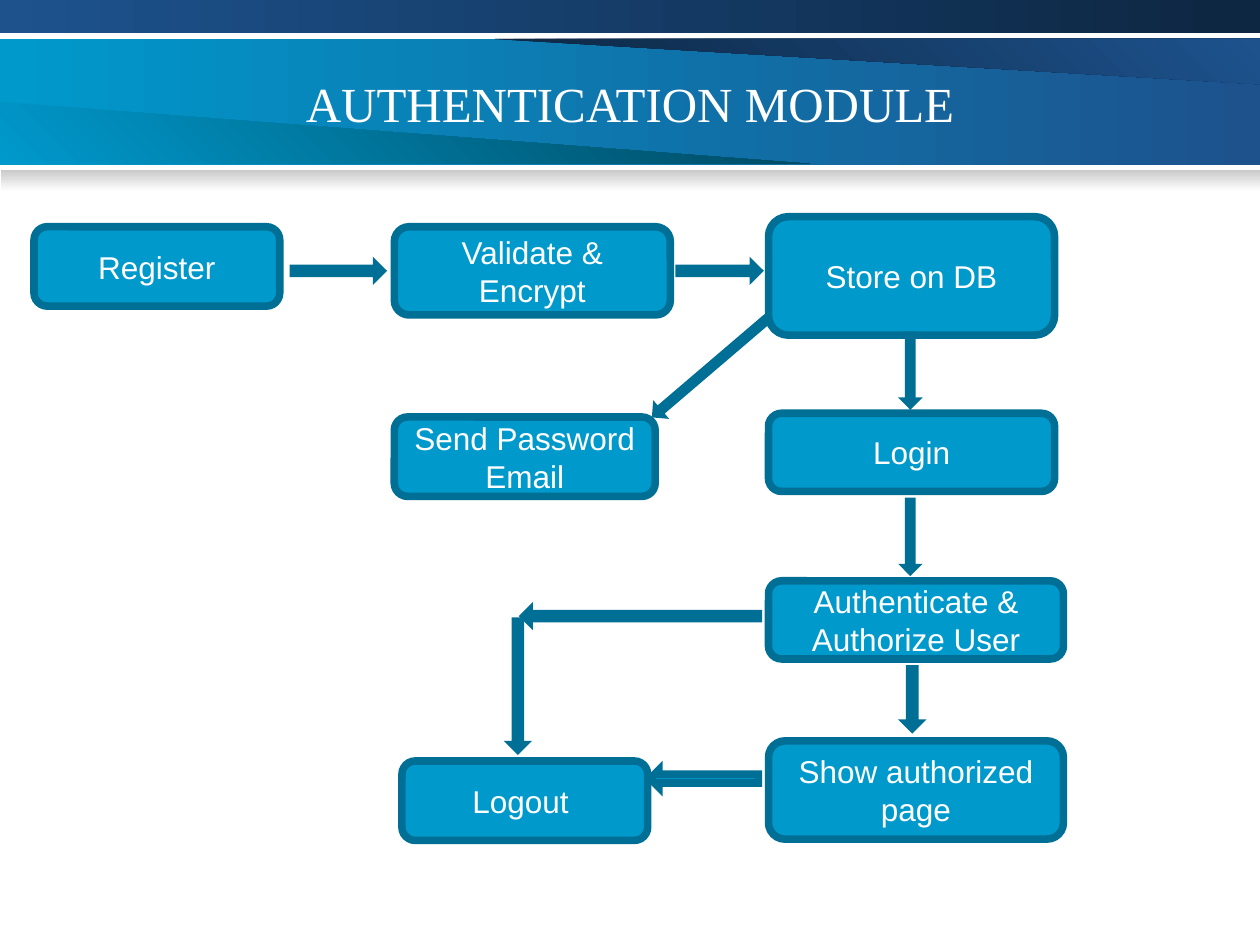
from dataclasses import dataclass

from lxml import etree
from pptx import Presentation
from pptx.dml.color import RGBColor
from pptx.enum.shapes import MSO_SHAPE
from pptx.enum.text import MSO_ANCHOR, PP_ALIGN
from pptx.oxml.ns import qn
from pptx.util import Inches, Pt

RECTANGLE = MSO_SHAPE.RECTANGLE
ROUNDED = MSO_SHAPE.ROUNDED_RECTANGLE
RIGHT = MSO_SHAPE.RIGHT_ARROW
LEFT = MSO_SHAPE.LEFT_ARROW
DOWN = MSO_SHAPE.DOWN_ARROW
MIDDLE = MSO_ANCHOR.MIDDLE
CENTER = PP_ALIGN.CENTER

COLUMNS, ROWS = 100, 75
CELL = Inches(0.1)


@dataclass(frozen=True)
class Theme:
    cyan: str = "0099CC"
    edge: str = "006F95"
    teal: str = "00475E"
    blue: str = "1D528D"
    navy: str = "0D2641"
    gray: str = "CACACA"
    white: str = "FFFFFF"
    title_font: str = "Times New Roman"
    body_font: str = "Arial"
    title_size: float = 28
    body_size: float = 18
    line_width: float = 4.34


THEME = Theme()


@dataclass(frozen=True)
class Area:
    column: float
    row: float
    width: float
    height: float

    def lengths(self) -> tuple:
        return tuple(cells(value) for value in
                     (self.column, self.row, self.width, self.height))


@dataclass(frozen=True)
class Gradient:
    start: str
    end: str
    angle: float = 0


@dataclass(frozen=True)
class Band:
    area: Area
    gradient: Gradient


@dataclass(frozen=True)
class Wedge:
    points: tuple
    gradient: Gradient


@dataclass(frozen=True)
class Step:
    text: str
    area: Area


@dataclass(frozen=True)
class Arrow:
    kind: int
    area: Area
    rotation: float = 0


FIRST, SECOND, THIRD = 2.7, 31.3, 61

BANNER = Band(Area(0, 3.1, COLUMNS, 10), Gradient(THEME.cyan, THEME.blue))
WEDGES = (
    Wedge(((98.2, 3.1), (39.3, 3.1), (COLUMNS, 6.7), (COLUMNS, 3.1)),
          Gradient(THEME.navy, THEME.blue, 45)),
    Wedge(((1.9, 13), (64.3, 13), (0, 8.1), (0, 13)),
          Gradient(THEME.cyan, THEME.teal, 45)),
)
EDGES = (
    Band(Area(0, 0, COLUMNS, 2.6), Gradient(THEME.blue, THEME.navy)),
    Band(Area(0.1, 13.5, COLUMNS - 0.1, 1.7),
         Gradient(THEME.gray, THEME.white, 270)),
)
STEPS = (
    Step("Register", Area(FIRST, 18, 19.5, 6.3)),
    Step("Validate & Encrypt", Area(SECOND, 18, 21.9, 7)),
    Step("Store on DB", Area(THIRD, 17.2, 22.7, 9.4)),
    Step("Login", Area(THIRD, 32.8, 22.7, 6.2)),
    Step("Authenticate & Authorize User", Area(THIRD, 46.1, 23.4, 6.2)),
    Step("Show authorized page", Area(THIRD, 58.8, 23.4, 7.8)),
    Step("Logout ", Area(31.9, 60.4, 19.5, 6.3)),
    Step("Send Password Email", Area(SECOND, 33.1, 20.7, 6.3)),
)
ARROWS = (
    Arrow(RIGHT, Area(23.3, 21.1, 7, 0.8)),
    Arrow(RIGHT, Area(53.9, 21.1, 6.3, 0.8)),
    Arrow(DOWN, Area(72, 26.6, 0.5, 5.5)),
    Arrow(DOWN, Area(72, 39.8, 0.5, 5.5)),
    Arrow(DOWN, Area(72, 53.1, 0.8, 4.7)),
    Arrow(LEFT, Area(51.6, 61.1, 8.6, 1.4)),
    Arrow(DOWN, Area(40.7, 49.3, 0.8, 10.2)),
    Arrow(LEFT, Area(41.6, 48.5, 18.6, 0.8)),
    Arrow(LEFT, Area(50.7, 28.9, 11.4, 0.5), rotation=319.5),
)


def cells(count: float) -> int:
    return round(count * CELL)


def color(code: str) -> RGBColor:
    return RGBColor.from_string(code)


def paint_gradient(shape, gradient: Gradient) -> None:
    shape.shadow.inherit = False
    shape.line.fill.background()
    shape.fill.gradient()
    shape.fill.gradient_angle = gradient.angle
    for stop, code in zip(shape.fill.gradient_stops,
                          (gradient.start, gradient.end)):
        stop.color.rgb = color(code)


def draw_band(page, band: Band) -> None:
    shape = page.shapes.add_shape(RECTANGLE, *band.area.lengths())
    paint_gradient(shape, band.gradient)


def draw_wedge(page, wedge: Wedge) -> None:
    start, *others = [(cells(x), cells(y)) for x, y in wedge.points]
    builder = page.shapes.build_freeform(*start)
    builder.add_line_segments(others, close=True)
    paint_gradient(builder.convert_to_shape(), wedge.gradient)


def write_text(box, text: str, *, font: str, size: float) -> None:
    frame = box.text_frame
    frame.word_wrap = True
    frame.vertical_anchor = MIDDLE
    para = frame.paragraphs[0]
    para.alignment = CENTER
    span = para.add_run()
    span.text = text
    span.font.name = font
    span.font.size = Pt(size)
    span.font.color.rgb = color(THEME.white)


def draw_outlined(page, kind: int, area: Area):
    shape = page.shapes.add_shape(kind, *area.lengths())
    shape.shadow.inherit = False
    shape.fill.solid()
    shape.fill.fore_color.rgb = color(THEME.cyan)
    shape.line.color.rgb = color(THEME.edge)
    shape.line.width = Pt(THEME.line_width)
    outline = shape.element.spPr.find(qn("a:ln"))
    etree.SubElement(outline, qn("a:miter"), lim="800000")
    return shape


def draw_step(page, step: Step) -> None:
    box = draw_outlined(page, ROUNDED, step.area)
    write_text(box, step.text, font=THEME.body_font, size=THEME.body_size)


def draw_arrow(page, arrow: Arrow) -> None:
    draw_outlined(page, arrow.kind, arrow.area).rotation = arrow.rotation


def main() -> None:
    deck = Presentation()
    deck.slide_width, deck.slide_height = cells(COLUMNS), cells(ROWS)
    page = deck.slides.add_slide(deck.slide_layouts[6])
    draw_band(page, BANNER)
    for wedge in WEDGES:
        draw_wedge(page, wedge)
    for band in EDGES:
        draw_band(page, band)
    title = page.shapes.add_textbox(*Area(0, 3.9, COLUMNS, 8.6).lengths())
    write_text(title, "AUTHENTICATION MODULE",
               font=THEME.title_font, size=THEME.title_size)
    for step in STEPS:
        draw_step(page, step)
    for arrow in ARROWS:
        draw_arrow(page, arrow)
    deck.save("out.pptx")


if __name__ == "__main__":
    main()
